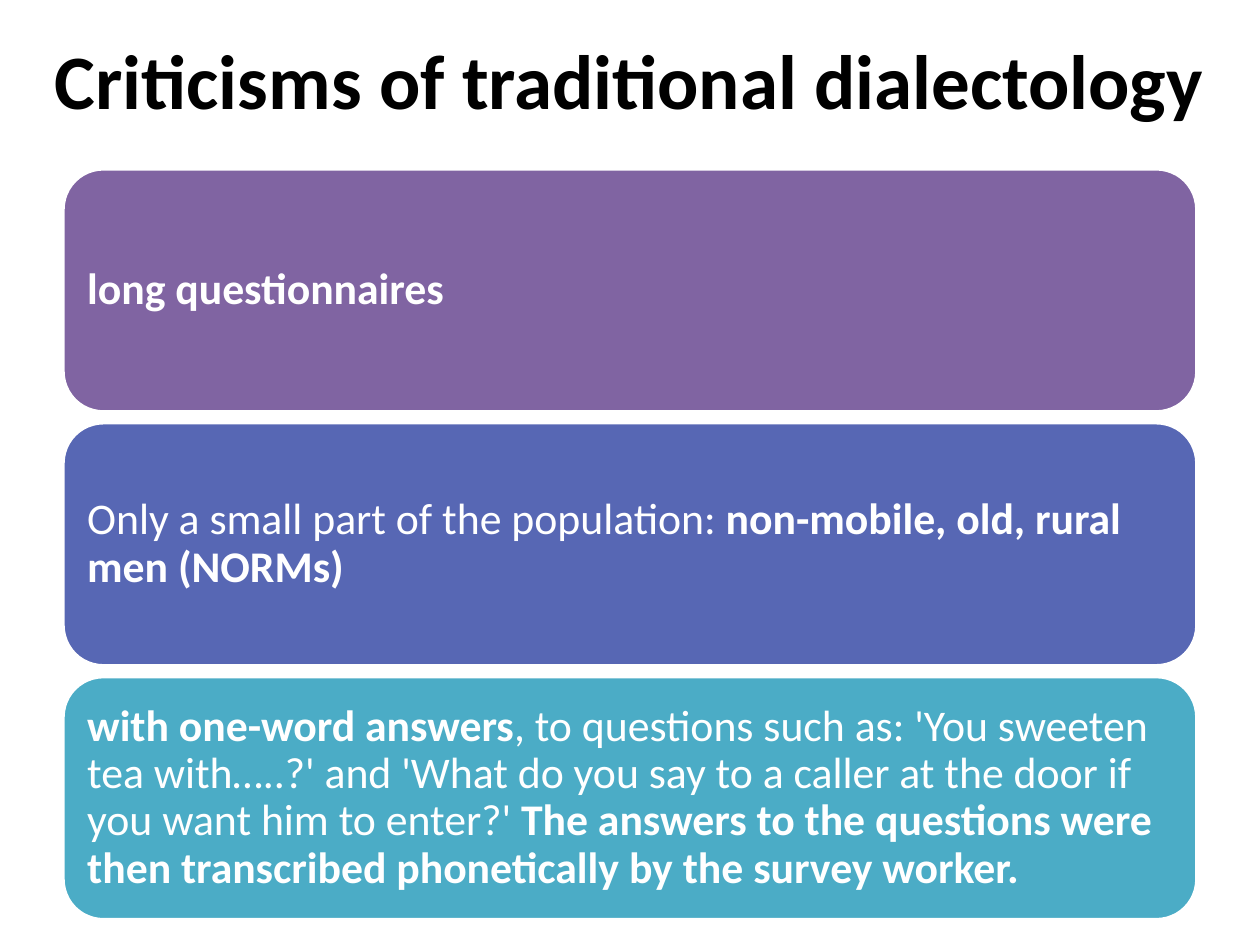
from pptx import Presentation
from pptx.dml.color import RGBColor
from pptx.enum.shapes import MSO_SHAPE as Preset
from pptx.enum.text import MSO_ANCHOR as Anchor, PP_ALIGN as Align
from pptx.util import Inches, Pt

BLACK = RGBColor(0x00, 0x00, 0x00)
WHITE = RGBColor(0xFF, 0xFF, 0xFF)
PURPLE = RGBColor(0x80, 0x64, 0xA2)
INDIGO = RGBColor(0x57, 0x67, 0xB4)
TEAL = RGBColor(0x4B, 0xAC, 0xC6)

CRITICISMS = [
    (PURPLE, [("long questionnaires", True)]),
    (INDIGO, [("Only a small part of the population: ", False),
              ("non-mobile, old, rural men (NORMs)", True)]),
    (TEAL, [("with one-word answers", True),
            (", to questions such as: 'You sweeten tea with…..?' and 'What do you "
             "say to a caller at the door if you want him to enter?' ", False),
            ("The answers to the questions were then transcribed phonetically "
             "by the survey worker.", True)]),
]


def write_text(frame, runs, *, size, color, font, align=Align.LEFT, spacing=1.0, inset=0.1):
    frame.word_wrap = True
    frame.vertical_anchor = Anchor.MIDDLE
    frame.margin_left = frame.margin_right = Inches(inset)
    frame.margin_top = frame.margin_bottom = Inches(inset)
    paragraph = frame.paragraphs[0]
    paragraph.alignment = align
    paragraph.line_spacing = spacing
    for text, bold in runs:
        run = paragraph.add_run()
        run.text = text
        run.font.name = font
        run.font.size = Pt(size)
        run.font.bold = bold
        run.font.color.rgb = color


class SlideBuilder:
    font = "Calibri"
    title_size = 44
    body_size = 25
    title_height = 1.25
    margin = 0.5
    first_row = 1.34
    row_height = 1.93
    row_step = 2.015

    def __init__(self, presentation):
        self.width = presentation.slide_width
        self.slide = presentation.slides.add_slide(presentation.slide_layouts[6])

    def title(self, text):
        box = self.slide.shapes.add_textbox(0, 0, self.width, Inches(self.title_height))
        write_text(box.text_frame, [(text, True)], size=self.title_size,
                   color=BLACK, font=self.font, align=Align.CENTER)

    def card(self, row, fill, runs):
        shape = self.slide.shapes.add_shape(
            Preset.ROUNDED_RECTANGLE, Inches(self.margin),
            Inches(self.first_row + row * self.row_step),
            self.width - 2 * Inches(self.margin), Inches(self.row_height))
        shape.shadow.inherit = False
        shape.fill.solid()
        shape.fill.fore_color.rgb = fill
        shape.line.color.rgb = WHITE
        shape.line.width = Pt(2)
        write_text(shape.text_frame, runs, size=self.body_size, color=WHITE,
                   font=self.font, spacing=0.9)


def main():
    presentation = Presentation()
    presentation.slide_width = Inches(10)
    presentation.slide_height = Inches(7.5)
    builder = SlideBuilder(presentation)
    builder.title("Criticisms of traditional dialectology")
    for row, (fill, runs) in enumerate(CRITICISMS):
        builder.card(row, fill, runs)
    presentation.save("out.pptx")


if __name__ == "__main__":
    main()
